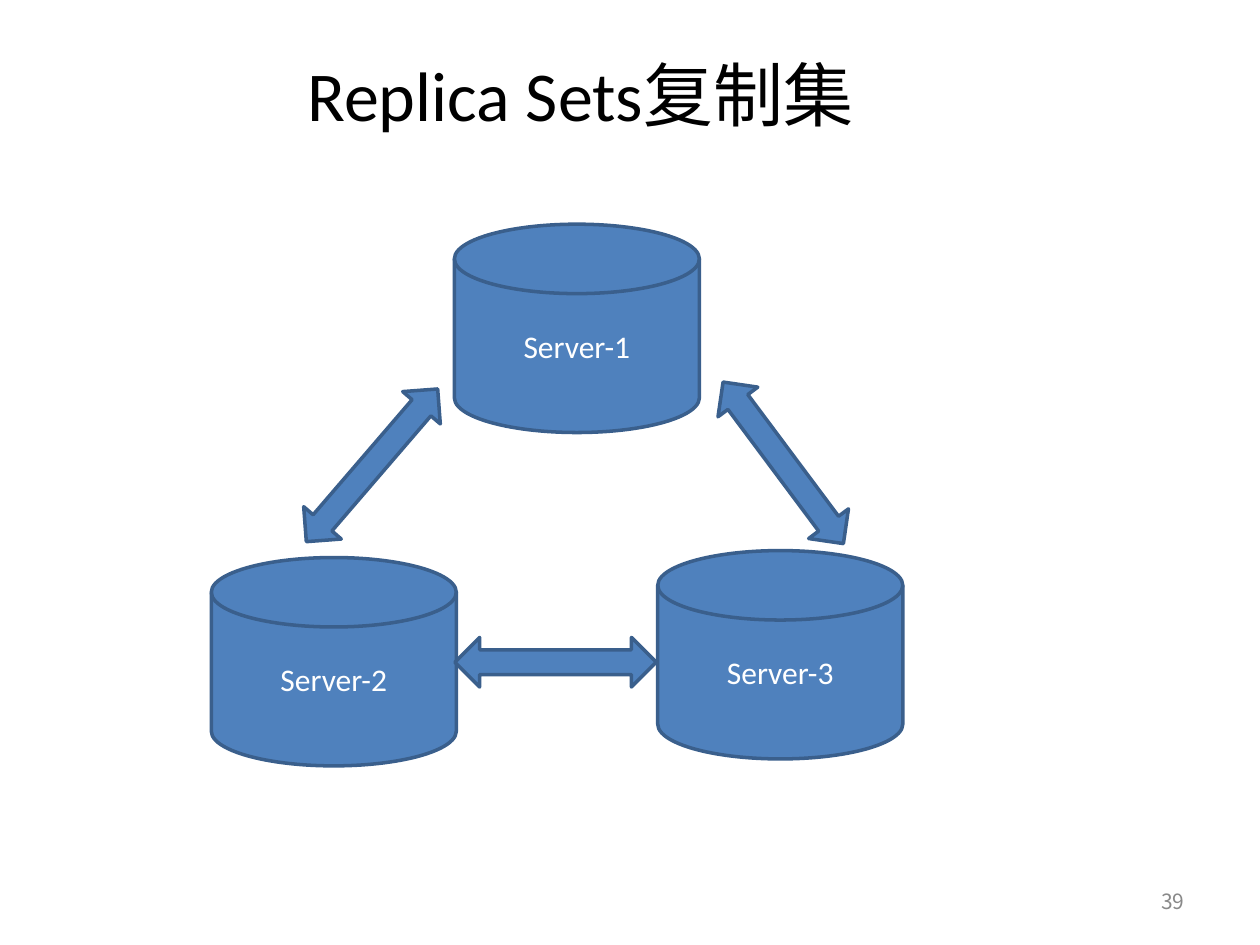
from lxml.etree import SubElement
from pptx import Presentation
from pptx.dml.color import RGBColor
from pptx.enum.shapes import MSO_SHAPE as Kind
from pptx.enum.text import MSO_ANCHOR as Anchor, PP_ALIGN as Align
from pptx.oxml.ns import qn
from pptx.util import Cm, Pt

BLUE = RGBColor(0x4F, 0x81, 0xBD)
EDGE = RGBColor(0x3A, 0x5F, 0x8C)
WHITE = RGBColor(0xFF, 0xFF, 0xFF)
BLACK = RGBColor(0, 0, 0)
GRAY = RGBColor(0x89, 0x89, 0x89)
LATIN, HAN = "Calibri", "Noto Sans CJK SC"


def write(shape, text, size, color, align=Align.CENTER, anchor=Anchor.MIDDLE, face=LATIN):
    frame = shape.text_frame
    frame.text = text
    frame.word_wrap = True
    frame.vertical_anchor = anchor
    line = frame.paragraphs[0]
    line.alignment = align
    run = line.runs[0]
    run.font.size = Pt(size)
    run.font.color.rgb = color
    run.font.name = face
    SubElement(run.font._element, qn("a:ea")).set("typeface", HAN)


def label(slide, box, *args, **style):
    write(slide.shapes.add_textbox(*map(Cm, box)), *args, **style)


def solid(slide, kind, box):
    shape = slide.shapes.add_shape(kind, *map(Cm, box))
    shape.shadow.inherit = False
    shape.fill.solid()
    shape.fill.fore_color.rgb = BLUE
    shape.line.color.rgb = EDGE
    shape.line.width = Pt(2)
    return shape


def server(slide, name, left, top):
    disk = solid(slide, Kind.FLOWCHART_MAGNETIC_DISK, (left, top, 4.94, 4.2))
    write(disk, name, 18, WHITE)


def arrow(slide, left, top, turn=0):
    solid(slide, Kind.LEFT_RIGHT_ARROW, (left, top, 4.06, 1)).rotation = turn


def main():
    """Build the replica set slide."""
    deck = Presentation()
    deck.slide_width, deck.slide_height = Cm(25.4), Cm(19.05)
    slide = deck.slides.add_slide(deck.slide_layouts[6])
    label(slide, (18.2, 17.66, 5.93, 1.01), "39", 12, GRAY, align=Align.RIGHT, face=HAN)
    label(slide, (4.7, 0.91, 14, 1.83), "Replica Sets复制集", 40, BLACK, anchor=Anchor.TOP)
    spots = [(9.16, 4.52), (4.26, 11.24), (13.26, 11.1)]
    for rank, spot in enumerate(spots, 1):
        server(slide, f"Server-{rank}", *spot)
    for place in [(9.17, 12.85), (5.47, 8.88, 310.7), (13.76, 8.83, 233.3)]:
        arrow(slide, *place)
    deck.save("out.pptx")


if __name__ == "__main__":
    main()
